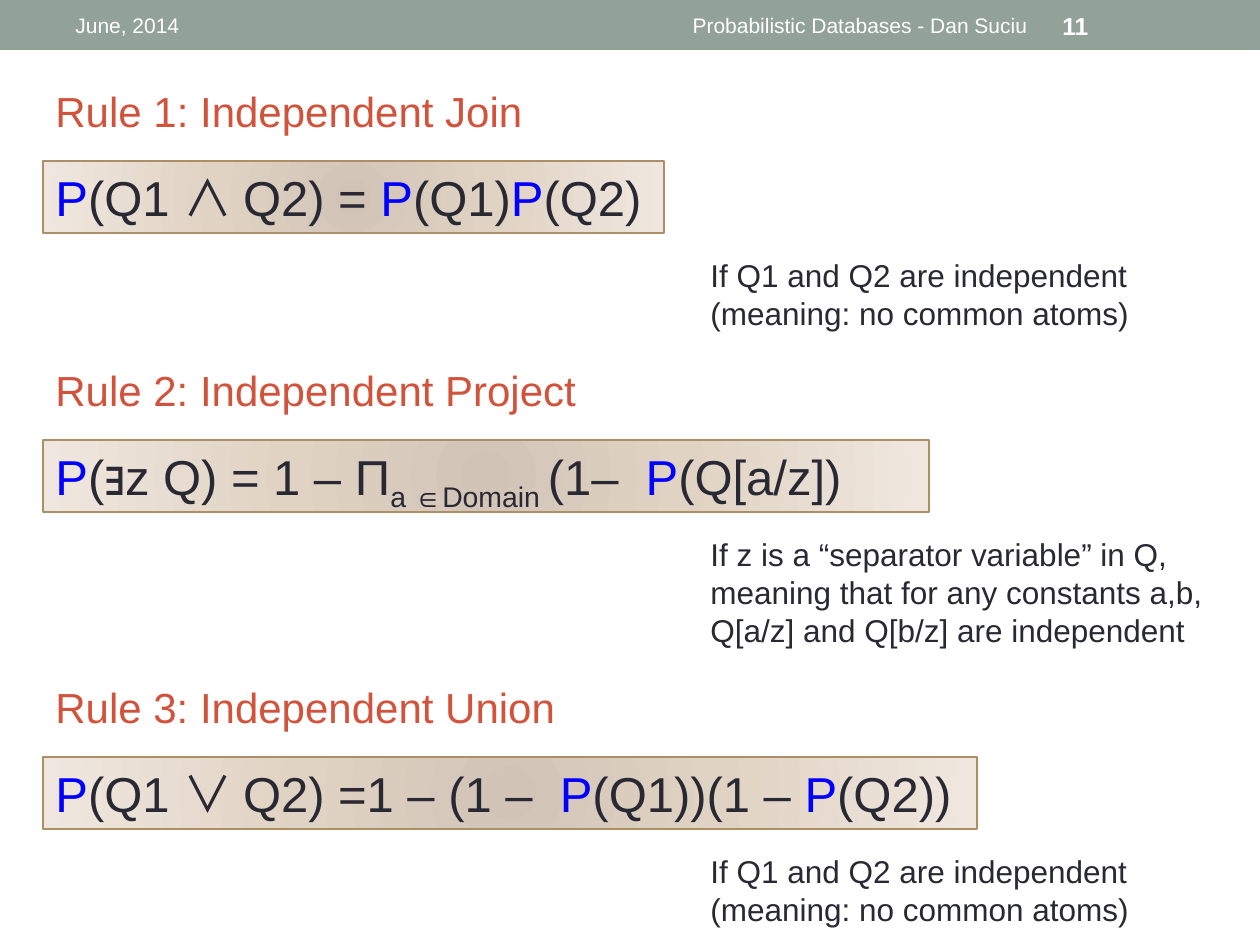
import pptx
import pptx.util
import pptx.dml.color
import pptx.enum.shapes
import pptx.enum.text
import pptx.oxml
import pptx.oxml.ns
from dataclasses import dataclass

RULES = [
    ("Rule 1: Independent Join", 497, 621,
     [("P", "prob"), ("(Q1 ", "ink"), ("∧ ", "sign"), ("Q2) = ", "ink"),
      ("P", "prob"), ("(Q1)", "ink"), ("P", "prob"), ("(Q2)", "ink")],
     ["If Q1 and Q2 are independent", "(meaning: no common atoms)"], 446),
    ("Rule 2: Independent Project", 552, 886,
     [("P", "prob"), ("(∃z Q) = 1 – Π", "ink"), ("a ∈Domain ", "sub"),
      ("(1–  ", "ink"), ("P", "prob"), ("(Q[a/z])", "ink")],
     ["If z is a “separator variable” in Q, \nmeaning that for any constants a,b,\n"
      "Q[a/z] and Q[b/z] are independent"], 523),
    ("Rule 3: Independent Union", 530, 934,
     [("P", "prob"), ("(Q1 ", "ink"), ("∨ ", "sign"), ("Q2) =1 – (1 –  ", "ink"),
      ("P", "prob"), ("(Q1))(1 – ", "ink"), ("P", "prob"), ("(Q2))", "ink")],
     ["If Q1 and Q2 are independent", "(meaning: no common atoms)"], 446),
]
# text, left, width, align, size, bold
HEADER = [
    ("June, 2014", 63, 399, "LEFT", 12, False),
    ("Probabilistic Databases - Dan Suciu", 473, 567, "RIGHT", 12, False),
    ("11", 1050, 147, "LEFT", 14, True),
]


@dataclass(frozen=True)
class Theme:
    font: str = "Arial"
    signs: str = "Noto Sans CJK JP"
    bar: str = "93A299"
    white: str = "FFFFFF"
    ink: str = "292934"
    prob: str = "0000FF"
    head: str = "D2533C"
    edge: str = "AD8F67"
    glow: tuple = ((0, "D1C4B6"), (45, "E1D3C4"), (100, "EFE7DF"))
    rule: int = 24
    math: int = 28
    note: int = 18


T = Theme()
SCALE = 914400 / 126
LEFT, NOTE_X, TOP = 43, 698, 79
BOX_DY, NOTE_DY, LINE, GAP = 82, 171, 38, 203


def px(*vals):
    return [round(v * SCALE) for v in vals]


def rgb(code):
    return pptx.dml.color.RGBColor.from_string(code)


def put(para, text, size, color, face=T.font, bold=False):
    """Add one run and return it."""
    run = para.add_run()
    run.text = text
    font = run.font
    font.size, font.name, font.bold = pptx.util.Pt(size), face, bold
    font.color.rgb = rgb(color)
    return run


def grow(shape):
    """Let the shape fit unwrapped text; return its first paragraph."""
    frame = shape.text_frame
    frame.word_wrap = False
    frame.auto_size = pptx.enum.text.MSO_AUTO_SIZE.SHAPE_TO_FIT_TEXT
    frame.vertical_anchor = pptx.enum.text.MSO_ANCHOR.TOP
    para = frame.paragraphs[0]
    para.alignment = pptx.enum.text.PP_ALIGN.LEFT
    return para


def block(slide, *area):
    shape = slide.shapes.add_shape(pptx.enum.shapes.MSO_SHAPE.RECTANGLE, *px(*area))
    shape.shadow.inherit = False
    return shape


def glow(shape):
    """Fill the shape with a gradient that spreads from its centre."""
    stops = "".join(f'<a:gs pos="{pos * 1000}"><a:srgbClr val="{code}"/></a:gs>'
                    for pos, code in T.glow)
    fill = pptx.oxml.parse_xml(
        f'<a:gradFill {pptx.oxml.ns.nsdecls("a")} rotWithShape="1"><a:gsLst>{stops}</a:gsLst>'
        '<a:path path="circle"><a:fillToRect l="100000" t="100000" r="100000" b="100000"/>'
        '</a:path></a:gradFill>')
    shape.fill.gradient()
    props = shape.element.spPr
    props.replace(props.find(pptx.oxml.ns.qn("a:gradFill")), fill)


def header(slide):
    bar = block(slide, 0, 0, 1260, 50)
    bar.fill.solid()
    bar.fill.fore_color.rgb = rgb(T.bar)
    bar.line.fill.background()
    for text, left, width, align, size, bold in HEADER:
        frame = slide.shapes.add_textbox(*px(left, 3, width, 45)).text_frame
        frame.word_wrap = True
        frame.vertical_anchor = pptx.enum.text.MSO_ANCHOR.MIDDLE
        para = frame.paragraphs[0]
        para.alignment = pptx.enum.text.PP_ALIGN[align]
        put(para, text, size, T.white, bold=bold)


def math(slide, top, width, parts):
    box = block(slide, LEFT, top, width, 72)
    glow(box)
    box.line.color.rgb = rgb(T.edge)
    box.line.width = pptx.util.Pt(0.75)
    para = grow(box)
    for text, kind in parts:
        face = T.signs if kind == "sign" else T.font
        run = put(para, text, T.math, T.prob if kind == "prob" else T.ink, face)
        props = run.font._element
        if kind == "sub":
            props.set("baseline", "-25000")
        if kind == "sign":
            east = pptx.oxml.parse_xml(
                f'<a:ea {pptx.oxml.ns.nsdecls("a")} typeface="{face}"/>')
            props.find(pptx.oxml.ns.qn("a:latin")).addnext(east)


def note(slide, top, width, paras, count):
    box = slide.shapes.add_textbox(*px(NOTE_X, top, width, 13 + LINE * count))
    para = grow(box)
    for i, text in enumerate(paras):
        if i:
            para = box.text_frame.add_paragraph()
        for j, line in enumerate(text.split("\n")):
            if j:
                para.add_line_break()
            put(para, line, T.note, T.ink)


def main():
    deck = pptx.Presentation()
    deck.slide_width, deck.slide_height = px(1260, 945)
    slide = deck.slides.add_slide(deck.slide_layouts[6])
    header(slide)
    top = TOP
    for name, wide, span, parts, paras, room in RULES:
        count = len("\n".join(paras).split("\n"))
        head = slide.shapes.add_textbox(*px(LEFT, top, wide, 63))
        put(grow(head), name, T.rule, T.head)
        math(slide, top + BOX_DY, span, parts)
        note(slide, top + NOTE_DY, room, paras, count)
        top += GAP + LINE * count
    deck.save("out.pptx")


if __name__ == "__main__":
    main()
